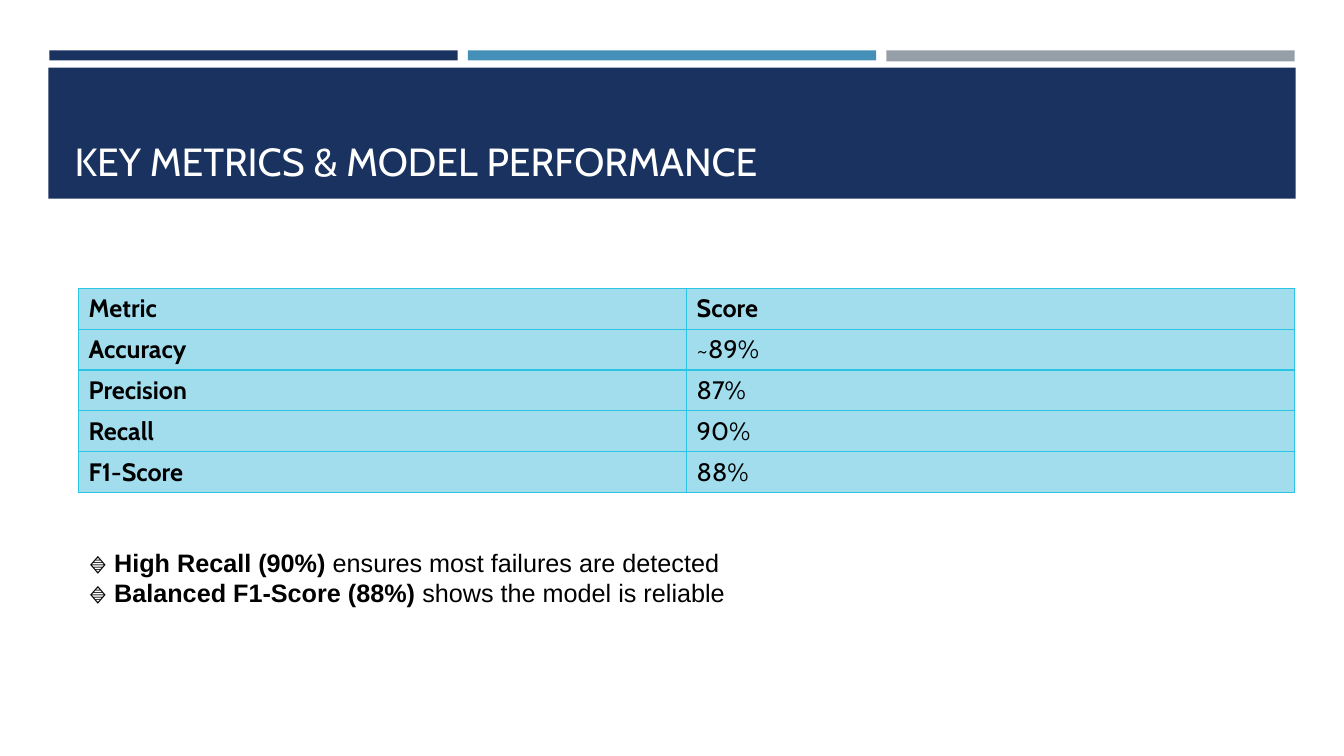
from dataclasses import dataclass
from typing import NamedTuple

from lxml import etree
from pptx import Presentation
from pptx.dml.color import RGBColor
from pptx.enum.shapes import MSO_SHAPE
from pptx.enum.text import MSO_ANCHOR, MSO_AUTO_SIZE, PP_ALIGN
from pptx.oxml.ns import qn
from pptx.util import Emu, Pt

RECT = MSO_SHAPE.RECTANGLE
MIDDLE, BOTTOM = MSO_ANCHOR.MIDDLE, MSO_ANCHOR.BOTTOM
LEFT = PP_ALIGN.LEFT
NO_FIT = MSO_AUTO_SIZE.NONE
TITLE_ONLY = 5
SCALE = 9144  # EMU per px, 100 px to the inch


@dataclass(frozen=True)
class Theme:
    navy: str = "1A3260"
    blue: str = "4590B8"
    grey: str = "969FA7"
    white: str = "FFFFFF"
    black: str = "000000"
    cell: str = "A2DDEE"
    edge: str = "2AC4E5"
    head: str = "Cabin"
    body: str = "Arial"
    title_size: int = 28
    text_size: int = 18
    edge_width: int = 1


class Bar(NamedTuple):
    left: int
    top: int
    width: int
    height: int
    fill: str


class Metric(NamedTuple):
    name: str
    score: str


class Point(NamedTuple):
    lead: str
    rest: str


THEME = Theme()
BARS = [
    Bar(49, 50, 405, 10, THEME.navy),
    Bar(464, 50, 405, 10, THEME.blue),
    Bar(879, 50, 405, 11, THEME.grey),
    Bar(48, 67, 1237, 130, THEME.navy),
]
METRICS = [
    Metric("Metric", "Score"),
    Metric("Accuracy", "~89%"),
    Metric("Precision", "87%"),
    Metric("Recall", "90%"),
    Metric("F1-Score", "88%"),
]
POINTS = [
    Point("High Recall (90%)", " ensures most failures are detected"),
    Point("Balanced F1-Score (88%)", " shows the model is reliable"),
]


def px(*sizes: int) -> list[Emu]:
    return [Emu(size * SCALE) for size in sizes]


def write(para, text: str, *, font: str = THEME.head, size: int = THEME.text_size,
          color: str = THEME.black, bold: bool = False) -> None:
    para.alignment = LEFT
    run = para.add_run()
    run.text = text
    run.font.name = font
    run.font.size = Pt(size)
    run.font.bold = bold
    run.font.color.rgb = RGBColor.from_string(color)


def add_bar(slide, bar: Bar) -> None:
    shape = slide.shapes.add_shape(RECT, *px(*bar[:4]))
    shape.shadow.inherit = False
    shape.fill.solid()
    shape.fill.fore_color.rgb = RGBColor.from_string(bar.fill)
    shape.line.fill.background()


def set_title(slide, text: str) -> None:
    title = slide.shapes.title
    title.left, title.top, title.width, title.height = px(64, 77, 1206, 111)
    frame = title.text_frame
    frame.auto_size = NO_FIT
    frame.vertical_anchor = BOTTOM
    write(frame.paragraphs[0], text, size=THEME.title_size, color=THEME.white)
    # Bring the title in front of the bars
    tree = title.element.getparent()
    tree.append(title.element)


def add_edges(cell) -> None:
    """Draw a line on all four sides of a table cell."""
    props = cell._tc.get_or_add_tcPr()
    for spot, tag in enumerate(("a:lnL", "a:lnR", "a:lnT", "a:lnB")):
        line = etree.Element(qn(tag), w=str(Pt(THEME.edge_width)))
        fill = etree.SubElement(line, qn("a:solidFill"))
        etree.SubElement(fill, qn("a:srgbClr"), val=THEME.edge)
        props.insert(spot, line)


def add_scores(slide, metrics: list[Metric]) -> None:
    table = slide.shapes.add_table(
        len(metrics), 2, *px(78, 286, 1206, 40 * len(metrics))).table
    table.horz_banding = False
    for row, metric in enumerate(metrics):
        for col, text in enumerate(metric):
            cell = table.cell(row, col)
            cell.vertical_anchor = MIDDLE
            cell.fill.solid()
            cell.fill.fore_color.rgb = RGBColor.from_string(THEME.cell)
            add_edges(cell)
            write(cell.text_frame.paragraphs[0], text, bold=row == 0 or col == 0)


def add_points(slide, points: list[Point]) -> None:
    frame = slide.shapes.add_textbox(*px(78, 548, 1206, 50)).text_frame
    frame.word_wrap = True
    frame.auto_size = NO_FIT
    frame.vertical_anchor = MIDDLE
    for row, point in enumerate(points):
        para = frame.add_paragraph() if row else frame.paragraphs[0]
        write(para, "🔹 ", font=THEME.body)
        write(para, point.lead, font=THEME.body, bold=True)
        write(para, point.rest, font=THEME.body)


def main() -> None:
    deck = Presentation()
    deck.slide_width, deck.slide_height = px(1333, 750)
    slide = deck.slides.add_slide(deck.slide_layouts[TITLE_ONLY])
    for bar in BARS:
        add_bar(slide, bar)
    set_title(slide, "KEY METRICS & MODEL PERFORMANCE")
    add_scores(slide, METRICS)
    add_points(slide, POINTS)
    deck.save("out.pptx")


if __name__ == "__main__":
    main()
